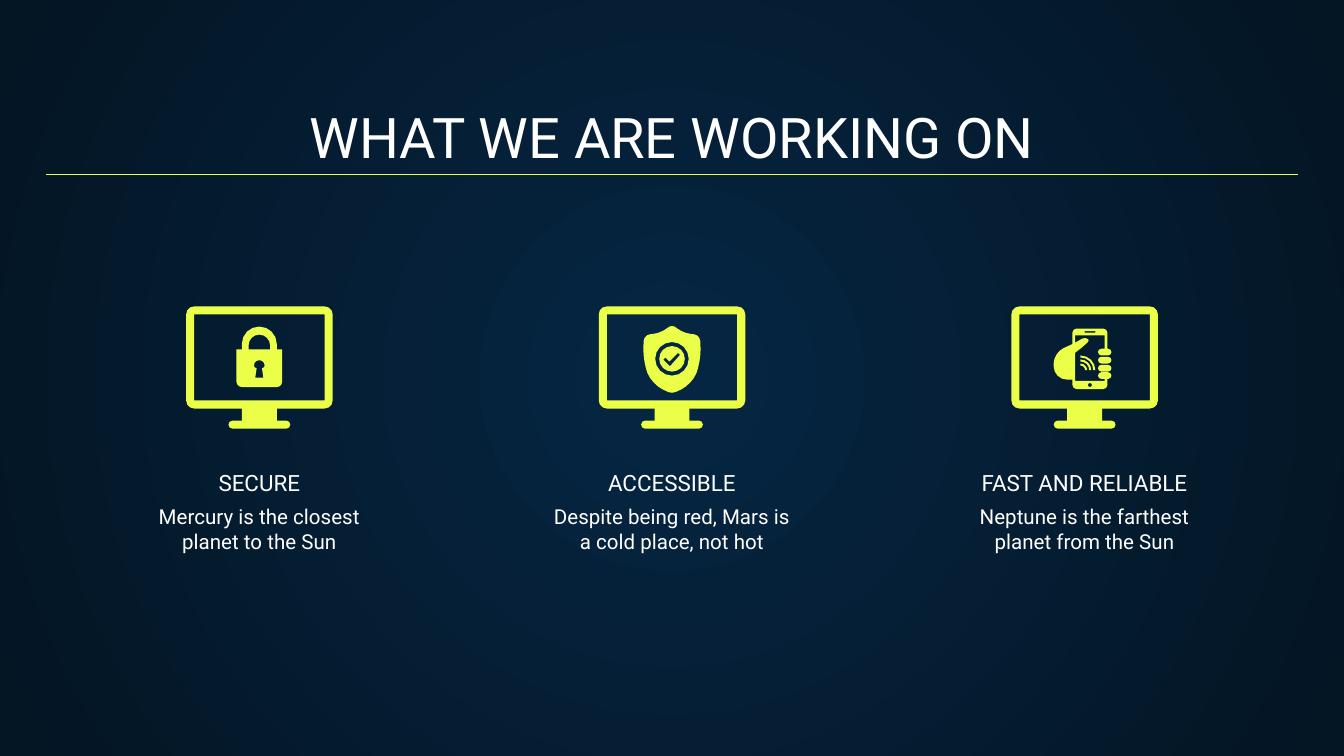
"""Builds a slide presenting three project goals with monitor icons."""
import dataclasses
import math

import lxml.etree
import pptx
import pptx.dml.color
import pptx.enum.shapes
import pptx.enum.text
import pptx.oxml.ns
import pptx.util

COLUMNS, ROWS = 1000, 562.5


@dataclasses.dataclass(frozen=True)
class Theme:
    font: str = "Roboto"
    text: str = "FFFFFF"
    accent: str = "ECFF48"
    glow: str = "052643"
    edge: str = "041523"
    title_size: int = 30
    heading_size: int = 12
    body_size: int = 11
    rule_width: float = 0.75


def cells(count):
    return pptx.util.Emu(round(count * pptx.util.Inches(10) / COLUMNS))


def color(code):
    return pptx.dml.color.RGBColor.from_string(code)


def rounded(corners):
    """Return outline points for (x, y, trim) corners, each trim rounded off."""
    points = []
    for index, (x, y, *trim) in enumerate(corners):
        if not trim:
            points.append((x, y))
            continue
        ends = []
        for near in (corners[index - 1], corners[(index + 1) % len(corners)]):
            share = trim[0] / math.dist((x, y), near[:2])
            ends.append(((near[0] - x) * share, (near[1] - y) * share))
        (ax, ay), (bx, by) = ends
        steps = 2 if trim[0] <= 3 else 3 if trim[0] <= 6 else 4
        for step in range(steps + 1):
            t = step / steps
            a = (1 - t) ** 3 + 1.35 * t * (1 - t) ** 2
            b = t ** 3 + 1.35 * t ** 2 * (1 - t)
            point = (round(x + a * ax + b * bx, 2), round(y + a * ay + b * by, 2))
            if point not in points:
                points.append(point)
    return points


def bar(left, top, right, bottom, *trim):
    return rounded([(left, top, *trim), (right, top, *trim),
                    (right, bottom, *trim), (left, bottom, *trim)])


def disc(x, y, radius):
    return bar(x - radius, y - radius, x + radius, y + radius, radius)


def mirrored(half):
    """Return a symmetrical outline from its right half, top to bottom."""
    left = [(-x, *rest) for x, *rest in reversed(half) if x]
    return rounded(half + left)


def signal(x, y, inner, outer):
    return rounded([(x, y - outer), (x + outer, y - outer, outer), (x + outer, y),
                    (x + inner, y), (x + inner, y - inner, inner), (x, y - inner)])


MONITOR = [
    mirrored([(54.5, 0, 6), (54.5, 76, 6), (13, 76), (13, 85),
              (23, 85, 3), (23, 91, 3)]),
    bar(-48.5, 6, 48.5, 70),
]
LOCK = [[
    mirrored([(13, 15, 13), (13, 32), (17, 32), (17, 60, 4)]),
    mirrored([(8, 21, 8), (8, 32)]),
    mirrored([(4, 40, 4), (4, 46, 2), (2, 46), (3, 53)]),
]]
SHIELD = [
    [mirrored([(0, 13, 4), (8, 20, 6), (21, 21, 5), (21.5, 41, 9),
               (15, 58, 9), (0, 65, 3)]),
     disc(0, 39, 12.5)],
    [disc(0, 39, 9.5),
     rounded([(-6.5, 39.5), (-5, 38), (-2, 41), (4.5, 34.5),
              (6, 36), (-1.5, 44.5)])],
]
PHONE = [[
    rounded([(-9, 16.5, 3), (17, 16.5, 3), (17, 31.5), (20, 31.5, 2.5),
             (20, 36.5, 2.5), (10, 36.5, 2.5), (10, 31.5, 2.5), (15, 31.5),
             (15, 21.5), (-7, 21.5), (-7, 27), (0, 23, 2), (4, 25, 2),
             (0, 29, 3), (-7, 34.5), (-7, 55.5), (15, 55.5), (15, 54),
             (10, 54, 2.5), (10, 49, 2.5), (20, 49, 2.5), (20, 54, 2.5),
             (17, 54), (17, 61.5, 3), (-9, 61.5, 3), (-9, 54.5),
             (-23, 54.5, 10), (-23, 34.5, 8), (-9, 28)]),
    *[bar(10, top, 20, top + 5, 2.5) for top in (37.5, 43.5)],
    bar(0, 18.5, 8, 19.5),
    disc(4, 58.5, 1.5),
    *[signal(-3, 47.5, inner, inner + 1.5) for inner in (3.5, 6.5, 9.5)],
]]

GOALS = [
    ("SECURE", "Mercury is the closest planet to the Sun", LOCK),
    ("ACCESSIBLE", "Despite being red, Mars is a cold place, not hot", SHIELD),
    ("FAST AND RELIABLE", "Neptune is the farthest planet from the Sun", PHONE),
]


class SlideBuilder:
    """Draws styled elements on the current page, measured in grid cells."""

    def __init__(self, deck, theme):
        self.theme = theme
        self.page = deck.slides.add_slide(deck.slide_layouts[6])

    def backdrop(self):
        qn = pptx.oxml.ns.qn
        fill = self.page.background.fill
        fill.gradient()
        for stop, code in zip(fill.gradient_stops, (self.theme.glow, self.theme.edge)):
            stop.color.rgb = color(code)
        gradient = self.page.element.find(".//" + qn("a:gradFill"))
        gradient.remove(gradient.find(qn("a:lin")))
        circle = lxml.etree.SubElement(gradient, qn("a:path"), {"path": "circle"})
        sides = dict.fromkeys("ltrb", "50000")
        lxml.etree.SubElement(circle, qn("a:fillToRect"), sides)

    def text(self, wording, left, top, width, height, size, bottom=False):
        box = self.page.shapes.add_textbox(*map(cells, (left, top, width, height)))
        frame = box.text_frame
        frame.word_wrap = True
        frame.margin_left = frame.margin_right = cells(10)
        frame.margin_top = frame.margin_bottom = cells(10)
        anchors = pptx.enum.text.MSO_ANCHOR
        frame.vertical_anchor = anchors.BOTTOM if bottom else anchors.TOP
        para = frame.paragraphs[0]
        para.text = wording
        para.alignment = pptx.enum.text.PP_ALIGN.CENTER
        para.font.name = self.theme.font
        para.font.size = pptx.util.Pt(size)
        para.font.color.rgb = color(self.theme.text)

    def outline(self, contours, center, top):
        placed = [[(cells(center + x), cells(top + y)) for x, y in contour]
                  for contour in contours]
        builder = self.page.shapes.build_freeform(*placed[0][0])
        for index, (start, *rest) in enumerate(placed):
            if index:
                builder.move_to(*start)
            builder.add_line_segments(rest, close=True)
        shape = builder.convert_to_shape()
        shape.shadow.inherit = False
        shape.fill.solid()
        shape.fill.fore_color.rgb = color(self.theme.accent)
        shape.line.fill.background()

    def rule(self, left, right, row):
        line = self.page.shapes.add_connector(
            pptx.enum.shapes.MSO_CONNECTOR.STRAIGHT,
            *map(cells, (left, row, right, row)))
        line.line.color.rgb = color(self.theme.accent)
        line.line.width = pptx.util.Pt(self.theme.rule_width)
        lxml.etree.SubElement(line.element.spPr, pptx.oxml.ns.qn("a:effectLst"))


def main():
    deck = pptx.Presentation()
    deck.slide_width, deck.slide_height = cells(COLUMNS), cells(ROWS)
    theme = Theme()
    slide = SlideBuilder(deck, theme)
    slide.backdrop()
    slide.text("WHAT WE ARE WORKING ON", 34, 70, 932, 66, theme.title_size, bottom=True)
    slide.rule(34, 966, 130)
    for index, (heading, detail, symbol) in enumerate(GOALS):
        center = COLUMNS / 2 + 307 * (index - 1)
        slide.text(detail, center - 103.5, 365, 207, 55, theme.body_size)
        slide.text(heading, center - 113.5, 358, 227, 21, theme.heading_size, bottom=True)
        for contours in [MONITOR, *symbol]:
            slide.outline(contours, center, 228)
    deck.save("out.pptx")


if __name__ == "__main__":
    main()
